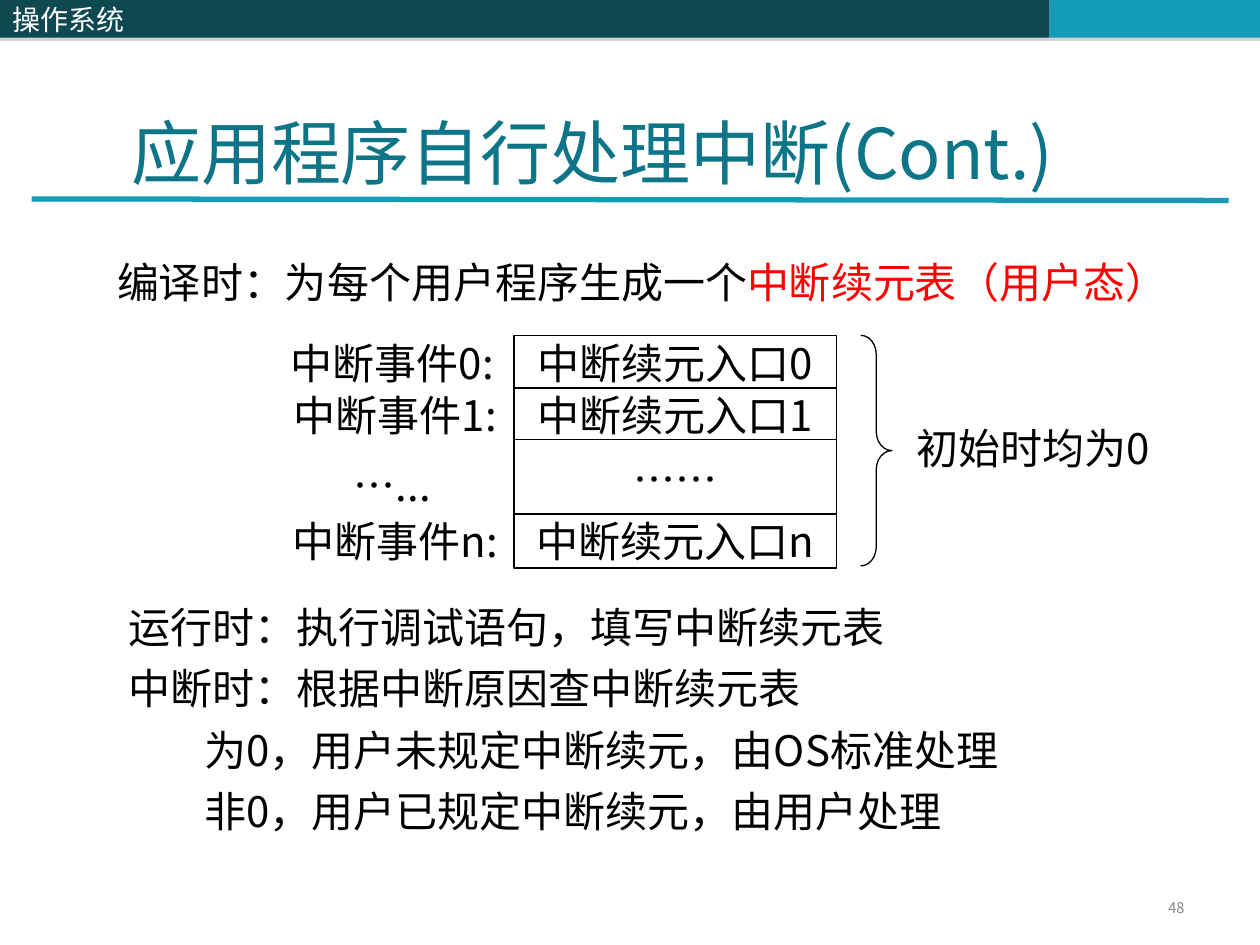
import pptx
import pptx.util
import pptx.dml.color
import pptx.enum.shapes
import pptx.enum.text
import pptx.oxml
from pptx.util import Cm

HUES = {"dark": "0E4851", "teal": "139CB7", "title": "0E7589", "gray": "898989",
        "shade": "808080", "black": "000000", "white": "FFFFFF", "red": "FF0000"}
FACE = "Noto Sans CJK SC"
FORM = pptx.enum.shapes.MSO_SHAPE
ALIGN = pptx.enum.text.PP_ALIGN
MID = pptx.enum.text.MSO_ANCHOR.MIDDLE
ROWS = [
    (6.76, 1.09, 6.76, 1.09, 5.66, "中断事件0:", "中断续元入口0"),
    (7.82, 1.09, 7.82, 1.09, 5.72, "中断事件1:", "中断续元入口1"),
    (8.86, 1.6, 9.17, 1.19, 5.66, "…...", "……"),
    (10.36, 1.09, 10.36, 1.09, 5.72, "中断事件n:", "中断续元入口n"),
]
STEPS = [
    ("运行时：执行调试语句，填写中断续元表", 0),
    ("中断时：根据中断原因查中断续元表", 0),
    ("为0，用户未规定中断续元，由OS标准处理", 1.53),
    ("非0，用户已规定中断续元，由用户处理", 1.53),
]


def hue(name):
    """Return the named colour."""
    return pptx.dml.color.RGBColor.from_string(HUES[name])


def node(tag, attrs="", inner=""):
    """Return a drawing element."""
    space = 'xmlns:a="http://schemas.openxmlformats.org/drawingml/2006/main"'
    return pptx.oxml.parse_xml(f"<a:{tag} {space} {attrs}>{inner}</a:{tag}>")


def style(para, size=24, color="black", align=ALIGN.LEFT):
    """Format a paragraph and its runs."""
    para.alignment = align
    for run in para.runs:
        run.font.size = pptx.util.Pt(size)
        run.font.name = FACE
        run.font.color.rgb = hue(color)
        run.font._element.append(node("ea", f'typeface="{FACE}"'))


def place(shape, left, top, width, height):
    """Move and size a shape."""
    shape.left, shape.top = Cm(left), Cm(top)
    shape.width, shape.height = Cm(width), Cm(height)


def shape(slide, box, fill, line=None, form=FORM.RECTANGLE):
    """Add a filled shape without a shadow."""
    item = slide.shapes.add_shape(form, *map(Cm, box))
    item.shadow.inherit = False
    item.fill.solid()
    item.fill.fore_color.rgb = hue(fill)
    if line:
        item.line.color.rgb = hue(line)
        item.line.width = pptx.util.Pt(0.75)
    else:
        item.line.fill.background()
    return item


def cell(slide, box, text, line=None):
    """Add a white box with centred text."""
    item = shape(slide, box, "white", line)
    frame = item.text_frame
    frame.word_wrap = False
    frame.vertical_anchor = MID
    frame.text = text
    style(frame.paragraphs[0], align=ALIGN.CENTER)


def bar(slide, left, width, fill):
    """Add a part of the top band with a soft shadow."""
    item = shape(slide, (left, 0, width, 0.76), fill)
    tint = f'<a:srgbClr val="{HUES["shade"]}"><a:alpha val="35000"/></a:srgbClr>'
    glow = node("outerShdw", 'dist="22860" dir="5400000" rotWithShape="0"', tint)
    item._element.spPr.find(pptx.oxml.ns.qn("a:effectLst")).append(glow)
    return item


def band(slide):
    """Draw the top band with the course name and the title rule."""
    bar(slide, 10.36, 10.8, "dark")
    bar(slide, 21.16, 4.24, "teal")
    frame = bar(slide, 0, 10.36, "dark").text_frame
    frame.vertical_anchor = MID
    frame.text = "操作系统"
    style(frame.paragraphs[0], 16, "white")
    kind = pptx.enum.shapes.MSO_CONNECTOR.STRAIGHT
    rule = slide.shapes.add_connector(kind, Cm(0.64), Cm(4.01), Cm(24.77), Cm(4.04))
    rule.line.color.rgb = hue("teal")
    rule.line.width = pptx.util.Pt(3)
    rule._element.spPr.append(node("effectLst"))


def note(slide, box):
    """Add an empty wrapping text box and return its frame."""
    frame = slide.shapes.add_textbox(*map(Cm, box)).text_frame
    frame.word_wrap = True
    return frame


def head(slide):
    """Fill the title, the lead line and the page number."""
    title = slide.shapes.title
    place(title, 2.39, 0.84, 21.64, 3.18)
    frame = title.text_frame
    frame.auto_size = pptx.enum.text.MSO_AUTO_SIZE.NONE
    frame.vertical_anchor = pptx.enum.text.MSO_ANCHOR.BOTTOM
    frame.text = "应用程序自行处理中断(Cont.)"
    style(frame.paragraphs[0], 40, "title")

    lead = note(slide, (2.11, 5.05, 22.91, 1.27)).paragraphs[0]
    lead.text = "编译时：为每个用户程序生成一个"
    lead.add_run().text = "中断续元表（用户态）"
    style(lead)
    lead.runs[1].font.color.rgb = hue("red")

    frame = note(slide, (18.21, 17.98, 5.92, 0.69))
    frame.vertical_anchor = MID
    frame.text = "48"
    frame.paragraphs[0].line_spacing = 0.8
    style(frame.paragraphs[0], 8.4, "gray", ALIGN.RIGHT)


def grid(slide):
    """Draw the entry table with its labels and brace."""
    for top, tall, base, high, left, label, entry in ROWS:
        cell(slide, (10.36, top, 6.5, tall), entry, "black")
        cell(slide, (left, base, 4.5, high), label)
    brace = shape(slide, (17.35, 6.76, 0.63, 4.65), "white", "black", FORM.RIGHT_BRACE)
    brace.adjustments[0] = 0.61
    cell(slide, (18.42, 8.03, 4.8, 2.01), "初始时均为0")


def steps(slide):
    """Fill the body with the run-time steps."""
    body = slide.placeholders[1]
    place(body, 2.34, 12.27, 21.36, 4.7)
    frame = body.text_frame
    frame.auto_size = pptx.enum.text.MSO_AUTO_SIZE.NONE
    frame.text = "\n".join(text for text, _ in STEPS)
    for spot, (para, (_, inset)) in enumerate(zip(frame.paragraphs, STEPS)):
        props = para._p.get_or_add_pPr()
        props.set("marL", str(Cm(inset)))
        props.set("indent", "0")
        props.append(node("buNone"))
        para.line_spacing = 0.7
        para.space_before = pptx.util.Pt(15 if spot else 0)
        style(para)


def main():
    """Build and save the slide."""
    deck = pptx.Presentation()
    deck.slide_width, deck.slide_height = Cm(25.4), Cm(19.05)
    slide = deck.slides.add_slide(deck.slide_layouts[1])
    band(slide)
    head(slide)
    grid(slide)
    steps(slide)
    deck.save("out.pptx")


if __name__ == "__main__":
    main()
